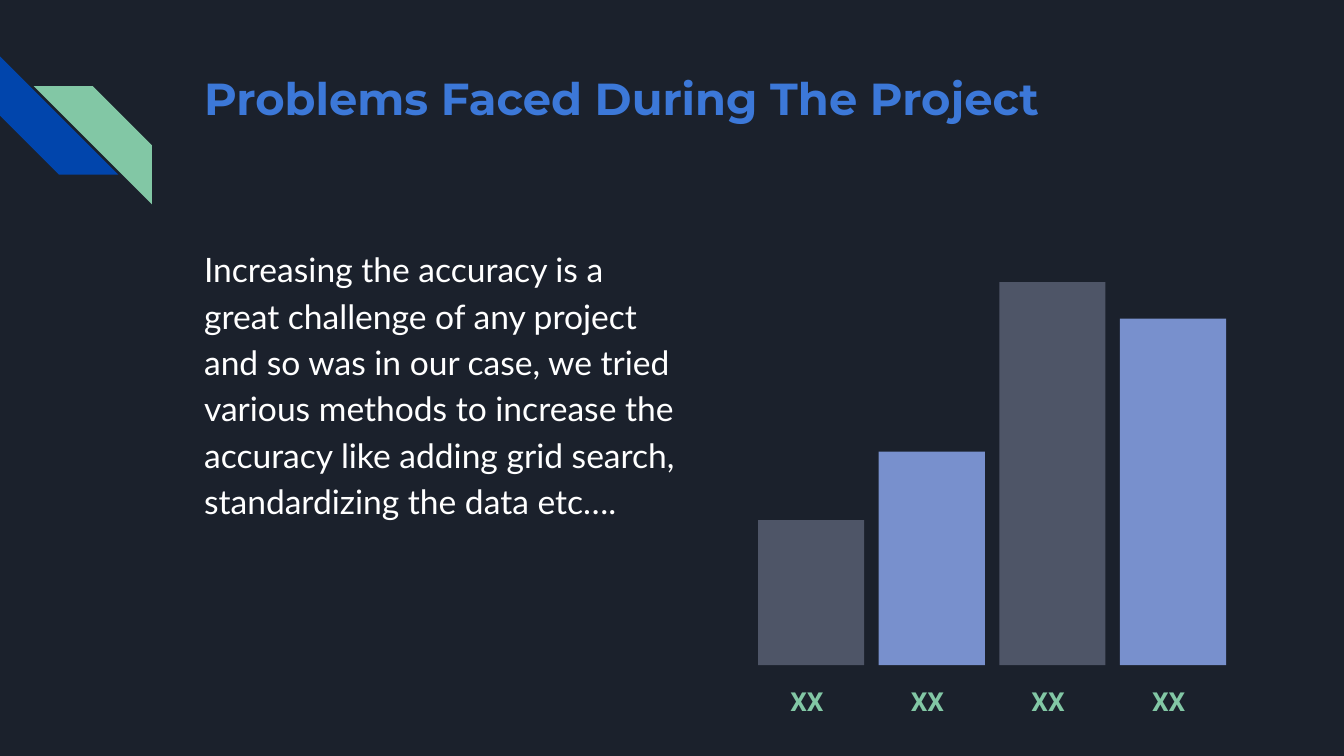
import pptx
import pptx.dml.color
import pptx.enum.shapes
import pptx.oxml.ns
import pptx.util
from lxml import etree

Inches = pptx.util.Inches
Pt = pptx.util.Pt
SHAPES = pptx.enum.shapes.MSO_SHAPE

COLORS = {"night": "1B212C", "blue": "0145AC", "green": "82C7A5", "title": "3C78D8",
          "white": "FFFFFF", "slate": "4E5567", "sky": "7890CD"}
TITLE = "Problems Faced During The Project"
BODY = ("Increasing the accuracy is a great challenge of any project and so was in our case, "
        "we tried various methods to increase the accuracy like adding grid search, "
        "standardizing the data etc….")
# label, bar height, colour
BARS = [("XX", 1.08, "slate"), ("XX", 1.59, "sky"), ("XX", 2.85, "slate"), ("XX", 2.58, "sky")]

WIDTH = 10
HEIGHT = WIDTH * 9 / 16
TEXT_LEFT = 1.42
STRIPE_SIZE = 0.88
CHART_LEFT, CHART_WIDTH, BASELINE = 5.55, 3.59, 4.95
COLUMN = CHART_WIDTH / len(BARS)
BAR_INSET, BAR_WIDTH = 0.09, 0.79
LABEL_TOP, LABEL_HEIGHT, LABEL_INSET = 4.98, 0.45, 0.33


def color(name):
    return pptx.dml.color.RGBColor.from_string(COLORS[name])


def add_block(page, kind, left, top, width, height, fill):
    block = page.shapes.add_shape(kind, Inches(left), Inches(top), Inches(width), Inches(height))
    block.shadow.inherit = False
    block.fill.solid()
    block.fill.fore_color.rgb = color(fill)
    block.line.fill.background()
    return block


def write(para, text, font, size, ink, bold=False):
    span = para.add_run()
    span.text = text
    span.font.name = font
    span.font.size = Pt(size)
    span.font.bold = bold
    span.font.color.rgb = color(ink)


def set_margins(holder):
    for side in ("left", "top", "right", "bottom"):
        setattr(holder, f"margin_{side}", Inches(0.1))


def add_text(page, left, top, width, height):
    """Add an empty wrapped text box and return its first paragraph."""
    box = page.shapes.add_textbox(Inches(left), Inches(top), Inches(width), Inches(height))
    frame = box.text_frame
    frame.word_wrap = True
    set_margins(frame)
    return frame.paragraphs[0]


def clear_cell(cell):
    """Remove the borders and the fill that the table style gives."""
    properties = cell._tc.get_or_add_tcPr()
    for edge in ("a:lnL", "a:lnR", "a:lnT", "a:lnB"):
        border = etree.SubElement(properties, pptx.oxml.ns.qn(edge))
        etree.SubElement(border, pptx.oxml.ns.qn("a:noFill"))
    cell.fill.background()


def add_stripes(page):
    lower = add_block(page, SHAPES.DIAGONAL_STRIPE, 0, 0.42, STRIPE_SIZE, STRIPE_SIZE, "blue")
    lower.rotation = 270
    upper = add_block(page, SHAPES.DIAGONAL_STRIPE, 0.25, 0.64, STRIPE_SIZE, STRIPE_SIZE, "green")
    upper._element.spPr.find(pptx.oxml.ns.qn("a:xfrm")).set("flipH", "1")


def add_labels(page):
    table = page.shapes.add_table(1, len(BARS), Inches(CHART_LEFT), Inches(LABEL_TOP),
                                  Inches(CHART_WIDTH), Inches(LABEL_HEIGHT)).table
    table.first_row = table.horz_banding = False
    for cell, (label, _, _) in zip(table.iter_cells(), BARS):
        clear_cell(cell)
        set_margins(cell)
        cell.margin_left = Inches(LABEL_INSET)
        para = cell.text_frame.paragraphs[0]
        para.line_spacing = 1.15
        write(para, label, "Roboto", 14, "green", bold=True)


def add_bars(page):
    for index, (_, height, fill) in enumerate(BARS):
        left = CHART_LEFT + BAR_INSET + index * COLUMN
        add_block(page, SHAPES.RECTANGLE, left, BASELINE - height, BAR_WIDTH, height, fill)


def main():
    deck = pptx.Presentation()
    deck.slide_width, deck.slide_height = Inches(WIDTH), Inches(HEIGHT)
    page = deck.slides.add_slide(deck.slide_layouts[6])
    page.background.fill.solid()
    page.background.fill.fore_color.rgb = color("night")

    add_stripes(page)
    write(add_text(page, TEXT_LEFT, 0.43, 7.7, 1), TITLE, "Montserrat", 24, "title", bold=True)
    para = add_text(page, TEXT_LEFT, 1.71, 3.72, 3.18)
    para.line_spacing = 1.15
    para.space_after = Pt(12)
    write(para, BODY, "Lato", 18, "white")
    add_labels(page)
    add_bars(page)
    deck.save("out.pptx")


if __name__ == "__main__":
    main()
